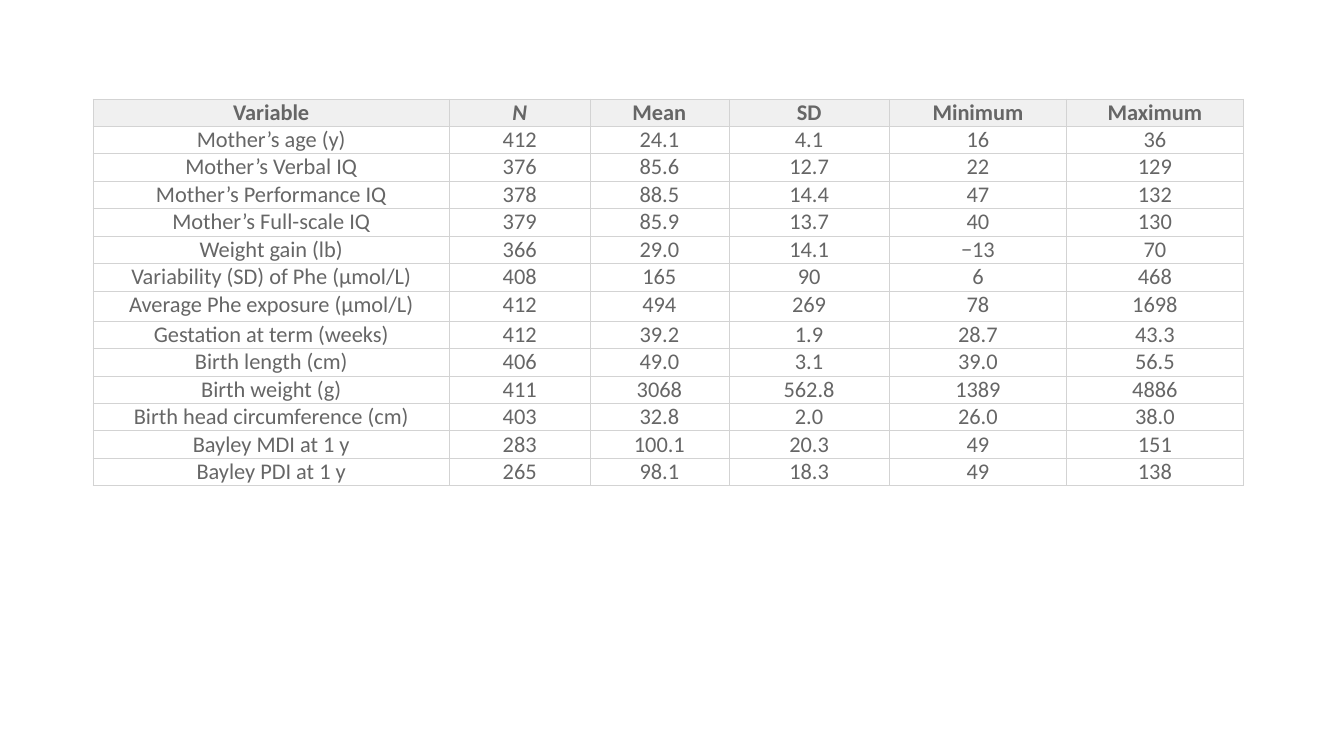
from dataclasses import dataclass

from lxml.etree import SubElement
from pptx import Presentation
from pptx.dml.color import RGBColor
from pptx.enum.text import MSO_ANCHOR, PP_ALIGN
from pptx.oxml.ns import qn
from pptx.util import Inches, Pt


@dataclass(frozen=True)
class Theme:
    font: str = "Calibri"
    size: int = 16
    text: str = "666666"
    header_fill: str = "F0F0F0"
    body_fill: str = "FFFFFF"
    border: str = "D3D3D3"
    border_width: float = 0.3


theme = Theme()


def add_borders(cell):
    properties = cell._tc.get_or_add_tcPr()
    for side in ("a:lnL", "a:lnR", "a:lnT", "a:lnB"):
        line = SubElement(properties, qn(side), w=str(Pt(theme.border_width)))
        line_fill = SubElement(line, qn("a:solidFill"))
        SubElement(line_fill, qn("a:srgbClr"), val=theme.border)


headings = ("Variable", "N", "Mean", "SD", "Minimum", "Maximum")
measurements = (
    ("Mother’s age (y)", "412", "24.1", "4.1", "16", "36"),
    ("Mother’s Verbal IQ", "376", "85.6", "12.7", "22", "129"),
    ("Mother’s Performance IQ", "378", "88.5", "14.4", "47", "132"),
    ("Mother’s Full-scale IQ", "379", "85.9", "13.7", "40", "130"),
    ("Weight gain (lb)", "366", "29.0", "14.1", "−13", "70"),
    ("Variability (SD) of Phe (μmol/L)", "408", "165", "90", "6", "468"),
    ("Average Phe exposure (μmol/L)", "412", "494", "269", "78", "1698"),
    ("Gestation at term (weeks)", "412", "39.2", "1.9", "28.7", "43.3"),
    ("Birth length (cm)", "406", "49.0", "3.1", "39.0", "56.5"),
    ("Birth weight (g)", "411", "3068", "562.8", "1389", "4886"),
    ("Birth head circumference (cm)", "403", "32.8", "2.0", "26.0", "38.0"),
    ("Bayley MDI at 1 y", "283", "100.1", "20.3", "49", "151"),
    ("Bayley PDI at 1 y", "265", "98.1", "18.3", "49", "138"),
)
records = (headings, *measurements)
column_widths = (3.54, 1.39, 1.38, 1.59, 1.76, 1.75)
row_height = 0.27
exposure_row = 7
exposure_height = 0.3

presentation = Presentation()
presentation.slide_width = Inches(13.33)
presentation.slide_height = Inches(7.5)
slide = presentation.slides.add_slide(presentation.slide_layouts[6])

statistics = slide.shapes.add_table(
    len(records), len(headings), Inches(0.92), Inches(0.98),
    Inches(sum(column_widths)), Inches(row_height * len(records)),
).table
statistics.horz_banding = False

for column, width in zip(statistics.columns, column_widths):
    column.width = Inches(width)

for row_index, record in enumerate(records):
    is_header = row_index == 0
    height = exposure_height if row_index == exposure_row else row_height
    statistics.rows[row_index].height = Inches(height)
    for column_index, value in enumerate(record):
        cell = statistics.cell(row_index, column_index)
        cell.margin_left = cell.margin_right = Inches(0)
        cell.margin_top = cell.margin_bottom = Inches(0)
        cell.vertical_anchor = MSO_ANCHOR.BOTTOM if is_header else MSO_ANCHOR.TOP
        add_borders(cell)
        cell.fill.solid()
        cell.fill.fore_color.rgb = RGBColor.from_string(
            theme.header_fill if is_header else theme.body_fill
        )
        paragraph = cell.text_frame.paragraphs[0]
        paragraph.alignment = PP_ALIGN.CENTER
        run = paragraph.add_run()
        run.text = value
        run.font.name = theme.font
        run.font.size = Pt(theme.size)
        run.font.bold = is_header
        run.font.italic = value == "N"
        run.font.color.rgb = RGBColor.from_string(theme.text)

presentation.save("out.pptx")
